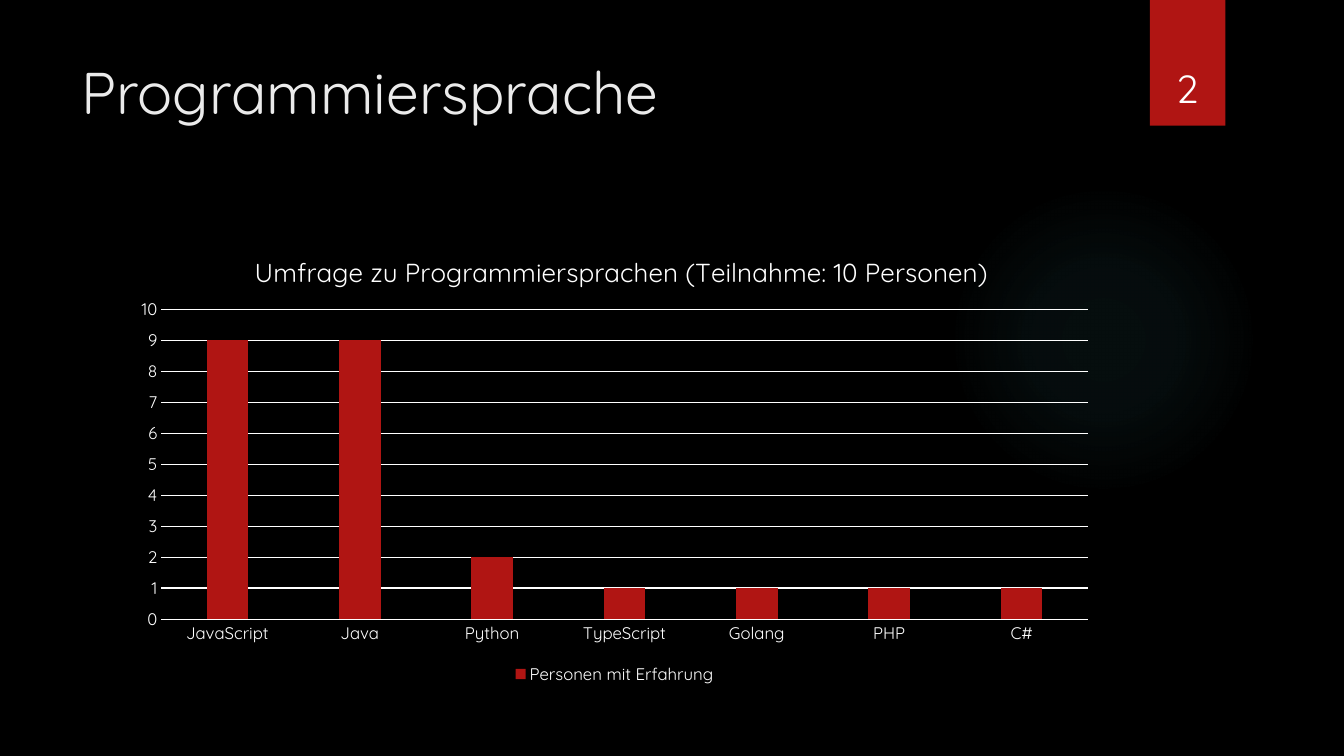
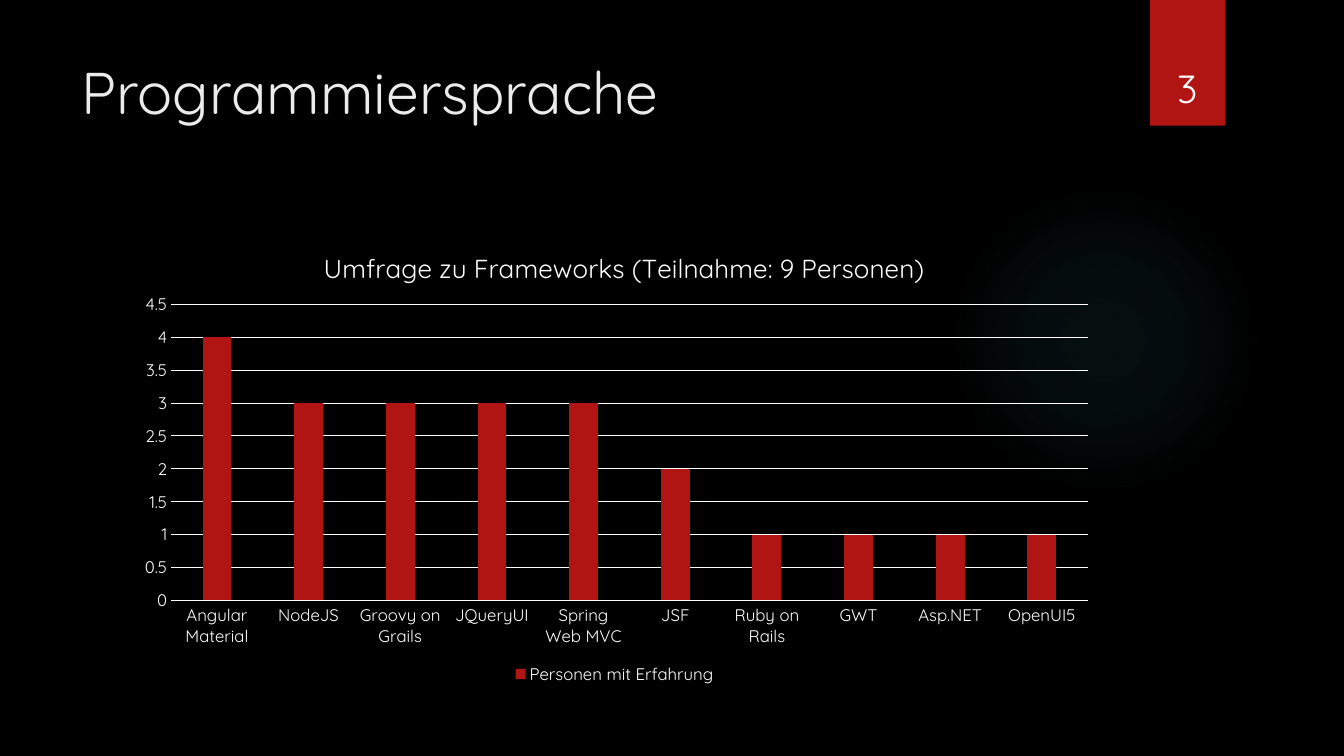
from lxml import etree
from pptx import Presentation
from pptx import oxml
from pptx import util as u
from pptx.chart import data as chart_data
from pptx.dml import color
from pptx.enum import chart as charts, shapes, text
from pptx.oxml import ns

FONT = "Quicksand"
BLACK, WHITE, TITLE_COLOUR = "000000", "FFFFFF", "EBEBEB"
RED, GLOW_COLOUR = "B01513", "50B9C1"
GLOW_STOPS = ((0, 7), (36, 6), (69, 0))
SERIES_NAME = "Personen mit Erfahrung"
SURVEYS = [
    {
        "title": "Umfrage zu Programmiersprachen (Teilnahme: 10 Personen)",
        "values": {"JavaScript": 9, "Java": 9, "Python": 2, "TypeScript": 1,
                   "Golang": 1, "PHP": 1, "C#": 1},
        "scale": {"minimum_scale": 0, "maximum_scale": 10, "major_unit": 1},
        "title_layout": {"x": 0.13, "y": 0.05},
        "plot_layout": {"x": 0.04, "y": 0.18, "w": 0.94, "h": 0.67},
    },
    {
        "title": "Umfrage zu Frameworks (Teilnahme: 9 Personen)",
        "values": {"Angular Material": 4, "NodeJS": 3, "Groovy on Grails": 3,
                   "JQueryUI": 3, "Spring Web MVC": 3, "JSF": 2,
                   "Ruby on Rails": 1, "GWT": 1, "Asp.NET": 1, "OpenUI5": 1},
        "scale": {"minimum_scale": 0, "maximum_scale": 4.5, "major_unit": 0.5},
        "title_layout": {"x": 0.2, "y": 0.04},
        "plot_layout": {"x": 0.05, "y": 0.17, "w": 0.93, "h": 0.64},
    },
]


def rgb(value):
    """Turn a hex string into a colour."""
    return color.RGBColor.from_string(value)


def box(*lengths):
    """Turn left, top, width and height in centimetres into lengths."""
    return [u.Cm(length) for length in lengths]


def apply(target, values):
    """Set every attribute named in a dict of format values."""
    for name, value in values.items():
        setattr(target, name, value)


def set_font(font, size, colour=WHITE):
    """Give a font the deck's typeface, a size and a colour."""
    apply(font, {"name": FONT, "size": u.Pt(size), "bold": False})
    font.color.rgb = rgb(colour)


def set_line(line, colour=WHITE, width=0.75):
    """Give a line a colour and a width."""
    line.color.rgb = rgb(colour)
    line.width = u.Pt(width)


def write(shape, words, size, colour, anchor, alignment):
    """Write one formatted paragraph into a shape."""
    frame = shape.text_frame
    frame.text = words
    apply(frame, {"word_wrap": True, "vertical_anchor": anchor,
                  "auto_size": text.MSO_AUTO_SIZE.NONE})
    paragraph = frame.paragraphs[0]
    paragraph.alignment = alignment
    set_font(paragraph.font, size, colour)


def add_plain_shape(slide, kind, place):
    """Add a shape without outline or shadow."""
    shape = slide.shapes.add_shape(kind, *box(*place))
    shape.shadow.inherit = False
    shape.line.fill.background()
    return shape


def add_glow(slide):
    """Add the faint round glow behind the content."""
    glow = add_plain_shape(slide, shapes.MSO_SHAPE.OVAL, (23.9, 4.65, 7.82, 7.82))
    stops = "".join(
        f'<a:gs pos="{position * 1000}"><a:srgbClr val="{GLOW_COLOUR}">'
        f'<a:alpha val="{opacity * 1000}"/></a:srgbClr></a:gs>'
        for position, opacity in GLOW_STOPS)
    gradient = oxml.parse_xml(
        f'<a:gradFill {ns.nsdecls("a")}><a:gsLst>{stops}</a:gsLst><a:path path="circle">'
        '<a:fillToRect l="50000" t="50000" r="50000" b="50000"/></a:path></a:gradFill>')
    glow.element.spPr.find(ns.qn("a:prstGeom")).addnext(gradient)


def add_number_band(slide, number):
    """Add the red band with the page number."""
    band = add_plain_shape(slide, shapes.MSO_SHAPE.RECTANGLE, (28.98, 0, 1.9, 3.17))
    band.fill.solid()
    band.fill.fore_color.rgb = rgb(RED)
    label = slide.shapes.add_textbox(*box(28.75, 0.81, 2.34, 2.13))
    write(label, str(number), 28, WHITE, text.MSO_ANCHOR.BOTTOM, text.PP_ALIGN.CENTER)


def set_title(slide, words):
    """Place and format the title placeholder."""
    title = slide.shapes.title
    apply(title, dict(zip(("left", "top", "width", "height"), box(1.8, 1.27, 26.14, 3.89))))
    write(title, words, 42, TITLE_COLOUR, text.MSO_ANCHOR.TOP, text.PP_ALIGN.LEFT)


def set_layout(chart, tag, values):
    """Fix the place of a chart part as fractions of the chart."""
    part = chart.element.find(f".//{ns.qn(tag)}")
    layout = part.find(ns.qn("c:layout"))
    if layout is None:
        layout = oxml.parse_xml(f'<c:layout {ns.nsdecls("c")}/>')
        part.insert(0, layout)
    manual = etree.SubElement(layout, ns.qn("c:manualLayout"))
    settings = {"xMode": "edge", "yMode": "edge", **values}
    if "w" in values:
        settings = {"layoutTarget": "inner", **settings}
    for name, value in settings.items():
        etree.SubElement(manual, ns.qn(f"c:{name}")).set("val", str(value))


def format_axes(chart, scale):
    """Format both axes and the gridlines."""
    for axis in (chart.category_axis, chart.value_axis):
        apply(axis, {"major_tick_mark": charts.XL_TICK_MARK.NONE,
                     "minor_tick_mark": charts.XL_TICK_MARK.NONE})
        set_font(axis.tick_labels.font, 12)
    set_line(chart.category_axis.format.line)
    apply(chart.value_axis, scale)
    chart.value_axis.format.line.fill.background()
    set_line(chart.value_axis.major_gridlines.format.line)


def add_survey_chart(slide, survey):
    """Add the column chart of one survey."""
    data = chart_data.CategoryChartData()
    data.categories = survey["values"].keys()
    data.add_series(SERIES_NAME, survey["values"].values())
    chart = slide.shapes.add_chart(
        charts.XL_CHART_TYPE.COLUMN_CLUSTERED, *box(3.07, 5.69, 24.84, 11.66), data).chart
    set_font(chart.font, 10)
    chart.has_title = True
    frame = chart.chart_title.text_frame
    frame.text = survey["title"]
    set_font(frame.paragraphs[0].runs[0].font, 18.6)
    chart.has_legend = True
    apply(chart.legend, {"position": charts.XL_LEGEND_POSITION.BOTTOM,
                         "include_in_layout": False})
    set_font(chart.legend.font, 12)
    format_axes(chart, survey["scale"])
    plot = chart.plots[0]
    apply(plot, {"gap_width": 219, "overlap": -27, "vary_by_categories": False})
    fill = plot.series[0].format.fill
    fill.solid()
    fill.fore_color.rgb = rgb(RED)
    set_layout(chart, "c:title", survey["title_layout"])
    set_layout(chart, "c:plotArea", survey["plot_layout"])


def main():
    """Build and save the survey slides."""
    presentation = Presentation()
    apply(presentation, {"slide_width": u.Cm(33.87), "slide_height": u.Cm(19.05)})
    background = presentation.slide_master.background.fill
    background.solid()
    background.fore_color.rgb = rgb(BLACK)
    for number, survey in enumerate(SURVEYS, start=2):
        slide = presentation.slides.add_slide(presentation.slide_layouts.get_by_name("Title Only"))
        add_glow(slide)
        set_title(slide, "Programmiersprache")
        add_survey_chart(slide, survey)
        add_number_band(slide, number)
    presentation.save("out.pptx")


if __name__ == "__main__":
    main()
